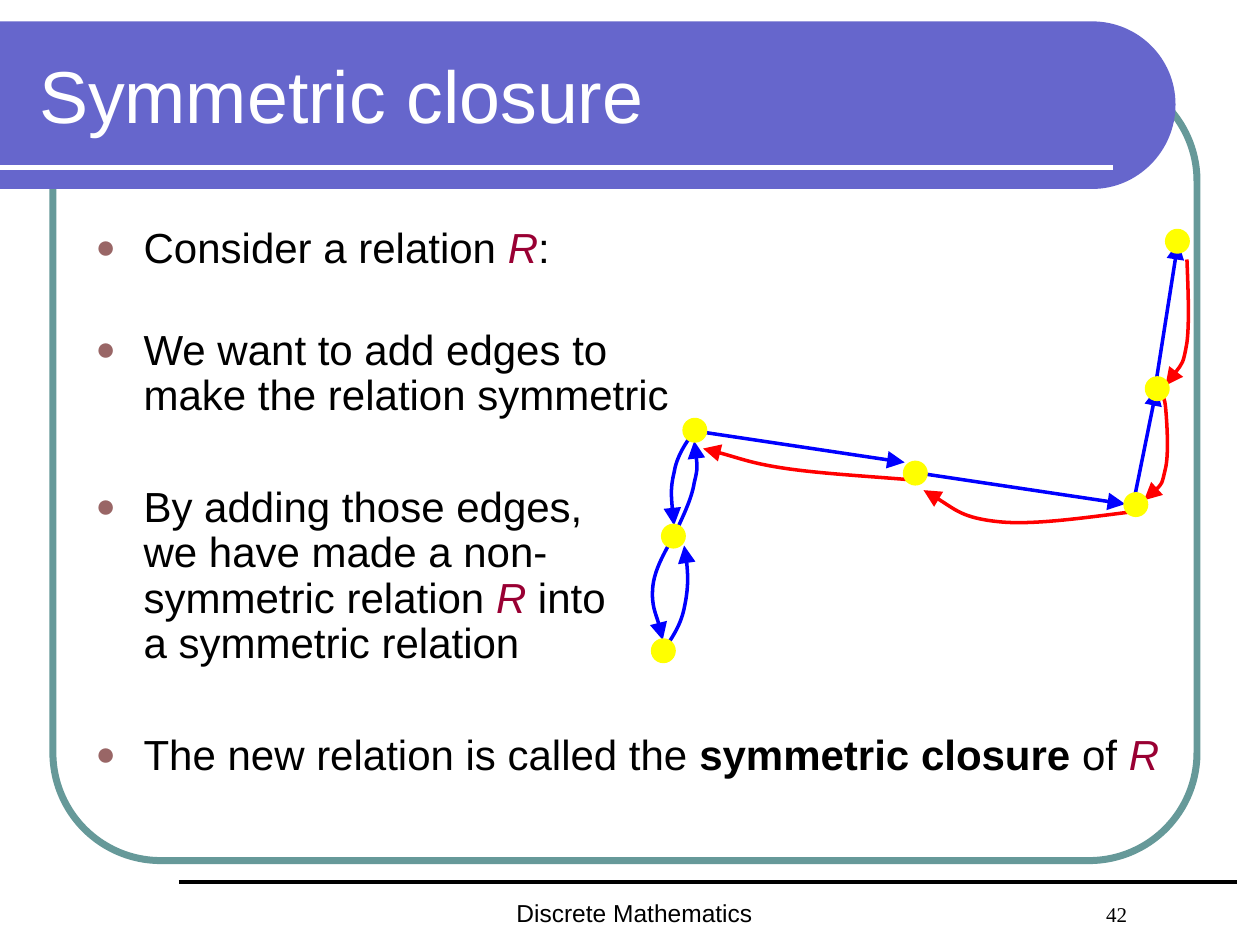
import pptx
import pptx.util
import pptx.dml.color
import pptx.enum.shapes
import pptx.enum.text
import pptx.oxml
import pptx.oxml.ns

Inches = pptx.util.Inches
Pt = pptx.util.Pt
RGB = pptx.dml.color.RGBColor
SHAPE = pptx.enum.shapes.MSO_SHAPE
STRAIGHT = pptx.enum.shapes.MSO_CONNECTOR.STRAIGHT
ANCHOR = pptx.enum.text.MSO_ANCHOR
NO_FIT = pptx.enum.text.MSO_AUTO_SIZE.NONE
qn = pptx.oxml.ns.qn
NS = pptx.oxml.ns.nsdecls("a")

INDIGO = RGB(0x66, 0x66, 0xCC)
TEAL = RGB(0x66, 0x99, 0x99)
WHITE = RGB(0xFF, 0xFF, 0xFF)
BLACK = RGB(0, 0, 0)
MAROON = RGB(0x99, 0, 0x33)
RED = RGB(0xFF, 0, 0)
BLUE = RGB(0, 0, 0xFF)
YELLOW = RGB(0xFF, 0xFF, 0)


def add_curve(s, points, corners=()):
    """Cubic curves (start, then three points each); corners close the outline."""
    start, *rest = [(Inches(x), Inches(y)) for x, y in [*points, *corners]]
    fb = s.shapes.build_freeform(*start, scale=1.0)
    fb.add_line_segments(rest, close=bool(corners))
    sp = fb.convert_to_shape()
    segments = list(sp.element.iter(qn("a:lnTo")))[:len(points) - 1]
    for i in range(0, len(segments), 3):
        cubic = pptx.oxml.parse_xml(f"<a:cubicBezTo {NS}/>")
        segments[i].addprevious(cubic)
        for segment in segments[i:i + 3]:
            cubic.append(segment[0])
            segment.getparent().remove(segment)
    return sp


def style_line(sp, color, width, arrow=False):
    sp.line.color.rgb = color
    sp.line.width = Pt(width)
    spPr = sp.element.spPr
    if arrow:
        spPr.find(qn("a:ln")).append(pptx.oxml.parse_xml(
            f'<a:tailEnd {NS} type="triangle" w="lg" len="lg"/>'))
    if spPr.find(qn("a:effectLst")) is None:
        spPr.append(pptx.oxml.parse_xml(f"<a:effectLst {NS}/>"))


prs = pptx.Presentation()
prs.slide_width, prs.slide_height = Inches(10), Inches(7.5)
s = prs.slides.add_slide(prs.slide_layouts[1])
title, body = s.placeholders[0], s.placeholders[1]
tree = title.element.getparent()

# Frame and title band
sp = s.shapes.add_shape(SHAPE.ROUNDED_RECTANGLE, Inches(0.42), Inches(0.58), Inches(9.08), Inches(6.25))
sp.adjustments[0] = 0.137
sp.fill.background()
style_line(sp, TEAL, 4)

sp = add_curve(s, [(8.67, 0.17), (9.03, 0.17), (9.33, 0.46), (9.33, 0.83),
                   (9.33, 1.2), (9.03, 1.5), (8.67, 1.5)], corners=[(0, 1.5), (0, 0.17)])
sp.shadow.inherit = False
sp.fill.solid()
sp.fill.fore_color.rgb = INDIGO
sp.line.fill.background()

# Rules under the title and above the footer
for x1, x2, y, color, width in [(0, 8.83, 1.33, WHITE, 3), (1.42, 9.82, 7, BLACK, 2.25)]:
    sp = s.shapes.add_connector(STRAIGHT, Inches(x1), Inches(y), Inches(x2), Inches(y))
    style_line(sp, color, width)

# Footer, with the slide number at a tab stop
sp = s.shapes.add_textbox(Inches(4), Inches(7.08), Inches(5.92), Inches(0.33))
tf = sp.text_frame
tf.word_wrap = True
p = tf.paragraphs[0]
p._p.get_or_add_pPr().append(pptx.oxml.parse_xml(
    f'<a:tabLst {NS}><a:tab pos="{Inches(4.68)}" algn="l"/></a:tabLst>'))
for text, font, size in [("Discrete Mathematics\t", "Arial", 14), ("42", "Times New Roman", 12)]:
    r = p.add_run()
    r.text = text
    r.font.name, r.font.size = font, Pt(size)
    r.font.color.rgb = BLACK

# Body list: space before, then runs of (text, style)
items = [
    (0, [("Consider a relation ", ""), ("R", "var"), (":", "")]),
    (32.5, [("We want to add edges to \nmake the relation symmetric", "")]),
    (38, [("By adding those edges, \nwe have made a non-\nsymmetric relation ", ""),
          ("R", "var"), (" into \na symmetric relation", "")]),
    (38, [("The new relation is called the ", ""), ("symmetric closure", "bold"),
          (" of ", ""), ("R", "var")]),
]
tree.append(body.element)
body.left, body.top, body.width, body.height = Inches(0.66), Inches(1.75), Inches(8.67), Inches(4.83)
tf = body.text_frame
tf.word_wrap = True
tf.auto_size = NO_FIT
for i, (gap, runs) in enumerate(items):
    p = tf.paragraphs[0] if i == 0 else tf.add_paragraph()
    pPr = p._p.get_or_add_pPr()
    pPr.set("marL", str(Inches(0.38)))
    pPr.set("indent", str(-Inches(0.38)))
    for bullet in ('<a:buClr {}><a:srgbClr val="996666"/></a:buClr>', '<a:buSzPct {} val="80000"/>',
                   '<a:buFont {} typeface="Arial"/>', '<a:buChar {} char="●"/>'):
        pPr.append(pptx.oxml.parse_xml(bullet.format(NS)))
    p.line_spacing = 0.9
    p.space_before = Pt(gap)
    for text, style in runs:
        for n, part in enumerate(text.split("\n")):
            if n:
                p.add_line_break()
            r = p.add_run()
            r.text = part
            r.font.name, r.font.size = "Arial", Pt(24)
            r.font.bold, r.font.italic = style == "bold", style == "var"
            r.font.color.rgb = MAROON if style == "var" else BLACK
    for br in p._p.findall(qn("a:br")):
        br.append(pptx.oxml.parse_xml(f'<a:rPr {NS} sz="2400"/>'))

# Added edges, in red
for points in [
    [(7.25, 3.81), (6.89, 3.78), (6.53, 3.76), (6.25, 3.72), (5.97, 3.68), (5.83, 3.62), (5.58, 3.56)],
    [(9, 4.06), (8.6, 4.11), (8.19, 4.17), (7.92, 4.14), (7.64, 4.11), (7.54, 4.01), (7.33, 3.89)],
    [(9.42, 2.06), (9.43, 2.31), (9.44, 2.56), (9.42, 2.72), (9.39, 2.89), (9.38, 2.89), (9.25, 3.06)],
    [(9.17, 3.14), (9.2, 3.13), (9.24, 3.12), (9.25, 3.22), (9.26, 3.32), (9.28, 3.6), (9.25, 3.72),
     (9.22, 3.85), (9.22, 3.85), (9.08, 3.97)],
]:
    sp = add_curve(s, points)
    sp.fill.background()
    style_line(sp, RED, 2, arrow=True)

# Title
tree.append(title.element)
title.left, title.top, title.width, title.height = Inches(0.21), Inches(0.25), Inches(8.77), Inches(1)
tf = title.text_frame
tf.word_wrap = True
tf.auto_size = NO_FIT
tf.vertical_anchor = ANCHOR.MIDDLE
p = tf.paragraphs[0]
p.alignment = pptx.enum.text.PP_ALIGN.LEFT
r = p.add_run()
r.text = "Symmetric closure"
r.font.name, r.font.size = "Arial", Pt(42)
r.font.color.rgb = WHITE

# Edges of the relation, in blue: straight, then curved
for x1, y1, x2, y2 in [(9.18, 3, 9.35, 1.92), (9.01, 3.92, 9.18, 3.08),
                       (5.51, 3.42, 7.18, 3.67), (7.26, 3.75, 8.93, 4)]:
    sp = s.shapes.add_connector(STRAIGHT, Inches(x1), Inches(y1), Inches(x2), Inches(y2))
    style_line(sp, BLUE, 2, arrow=True)

for points in [
    [(5.35, 4.25), (5.42, 4.1), (5.49, 3.96), (5.51, 3.83), (5.54, 3.71), (5.53, 3.65), (5.51, 3.5)],
    [(5.51, 3.42), (5.44, 3.52), (5.37, 3.62), (5.35, 3.75), (5.32, 3.87), (5.33, 4.01), (5.35, 4.17)],
    [(5.26, 5.17), (5.33, 5.07), (5.4, 4.97), (5.43, 4.83), (5.46, 4.69), (5.47, 4.53), (5.43, 4.33)],
    [(5.35, 4.25), (5.27, 4.39), (5.19, 4.53), (5.18, 4.67), (5.17, 4.81), (5.24, 4.96), (5.26, 5.08)],
]:
    sp = add_curve(s, points)
    sp.fill.background()
    style_line(sp, BLUE, 2, arrow=True)

# Nodes
for x, y in [(9.26, 1.83), (9.1, 3), (5.43, 3.33), (7.18, 3.67), (8.93, 3.92), (5.26, 4.17), (5.18, 5.08)]:
    sp = s.shapes.add_shape(SHAPE.OVAL, Inches(x), Inches(y), Inches(0.17), Inches(0.17))
    sp.fill.solid()
    sp.fill.fore_color.rgb = YELLOW
    style_line(sp, YELLOW, 2)

prs.save("out.pptx")
